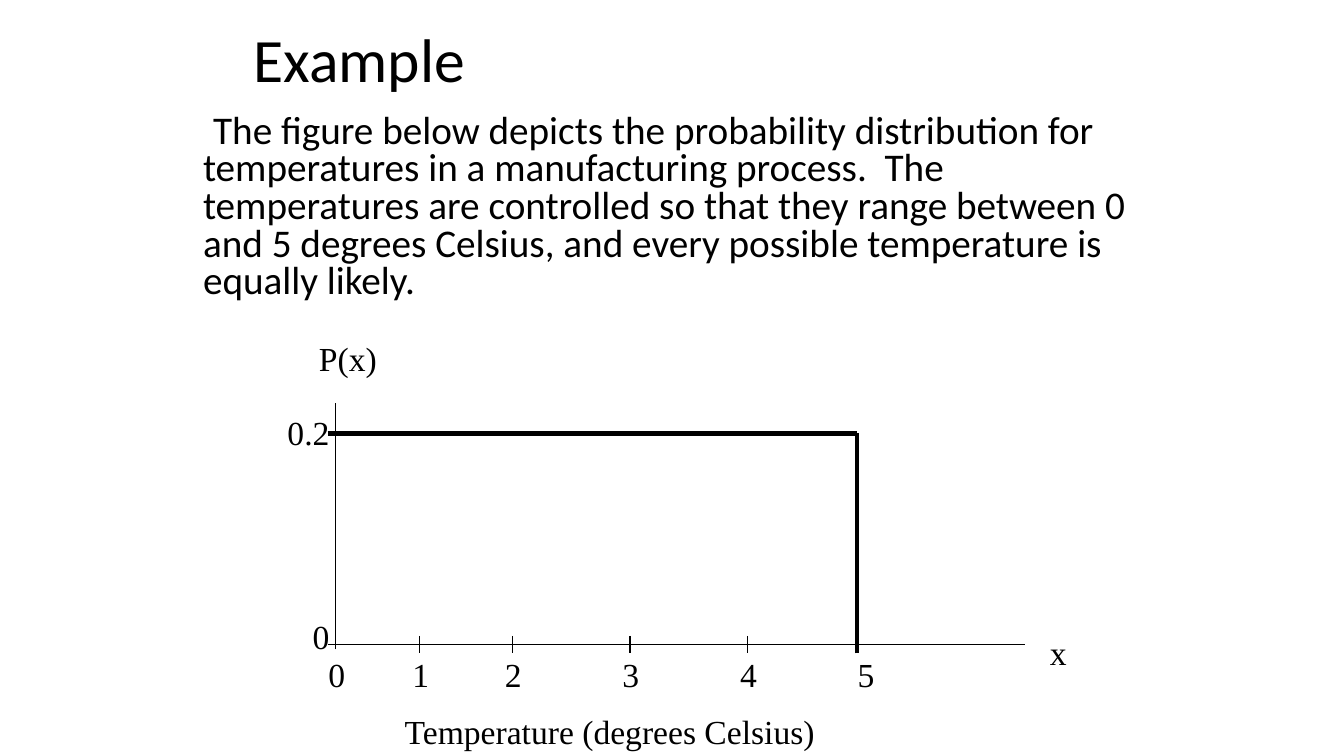
"""Builds a slide on the uniform probability distribution of temperatures."""
from pptx import Presentation
from pptx.dml.color import RGBColor
from pptx.enum.shapes import MSO_CONNECTOR
from pptx.enum.text import MSO_ANCHOR, PP_ALIGN
from pptx.oxml.ns import qn
from pptx.util import Inches, Pt
from lxml.etree import SubElement

BLACK = RGBColor(0, 0, 0)
COLUMNS, ROWS = 160, 90
HEADING_FONT, FIGURE_FONT = "Calibri", "Times New Roman"
BODY = (
    "The figure below depicts the probability distribution for temperatures "
    "in a manufacturing process.  The temperatures are controlled so that they "
    "range between 0 and 5 degrees Celsius, and every possible temperature is "
    "equally likely."
)


class Deck:
    def __init__(self):
        self.prs = Presentation()
        self.prs.slide_width, self.prs.slide_height = Inches(13.33), Inches(7.5)
        self.s = self.prs.slides.add_slide(self.prs.slide_layouts[6])

    def x(self, column):
        return round(self.prs.slide_width * column / COLUMNS)

    def y(self, row):
        return round(self.prs.slide_height * row / ROWS)

    def text(self, text, left, top, width, height=6, size=24,
             font=FIGURE_FONT, align=PP_ALIGN.LEFT, anchor=MSO_ANCHOR.TOP):
        sp = self.s.shapes.add_textbox(
            self.x(left), self.y(top), self.x(width), self.y(height))
        tf = sp.text_frame
        tf.word_wrap = True
        tf.vertical_anchor = anchor
        p = tf.paragraphs[0]
        p.text = text
        p.alignment = align
        p.font.name, p.font.size = font, Pt(size)
        p.font.color.rgb = BLACK
        return p

    def indented_text(self, text, *box, **style):
        p = self.text(text, *box, **style)
        p.line_spacing = 0.8
        p.space_before = Pt(10)
        pPr = p._p.get_or_add_pPr()
        pPr.set("marL", str(Inches(0.25)))
        pPr.set("indent", str(Inches(0.1)))

    def line(self, x1, y1, x2, y2, weight=0.75):
        c = self.s.shapes.add_connector(
            MSO_CONNECTOR.STRAIGHT,
            self.x(x1), self.y(y1), self.x(x2), self.y(y2))
        c.line.color.rgb = BLACK
        c.line.width = Pt(weight)
        SubElement(c._element.spPr, qn("a:effectLst"))


def main():
    deck = Deck()
    title = deck.text("Example", 29, 0, 102, 15, size=44, font=HEADING_FONT,
                      anchor=MSO_ANCHOR.MIDDLE)
    title.line_spacing = 0.9
    deck.indented_text(BODY, 20, 13, 120, 29, size=28, font=HEADING_FONT)

    origin, left, limit = 40, 39, 102
    density_row, axis_row = 51.6, 76.7
    ticks = (50, 61, 75, 89)

    deck.line(origin, 77.3, origin, 48)
    deck.line(left, axis_row, 122, axis_row)
    for tick in ticks:
        deck.line(tick, axis_row - 1, tick, axis_row + 1)
    deck.line(left, density_row, limit, density_row, weight=3)
    deck.line(limit, 77.8, limit, density_row, weight=3)

    label_width = 6
    for value, column in enumerate((origin, *ticks, limit + 1)):
        deck.text(str(value), column + 0.1 - label_width / 2, 77.3, label_width,
                  align=PP_ALIGN.CENTER)
    for value, row in (("0.2", 48.5), ("0", 72.7)):
        deck.text(value, 32.4, row, 8, align=PP_ALIGN.RIGHT)

    deck.text("P(x)", 36.8, 39.6, 10)
    deck.text("x", 123.8, 74.6, 5)
    deck.text("Temperature (degrees Celsius)", 47, 84, 53)
    deck.prs.save("out.pptx")


if __name__ == "__main__":
    main()
